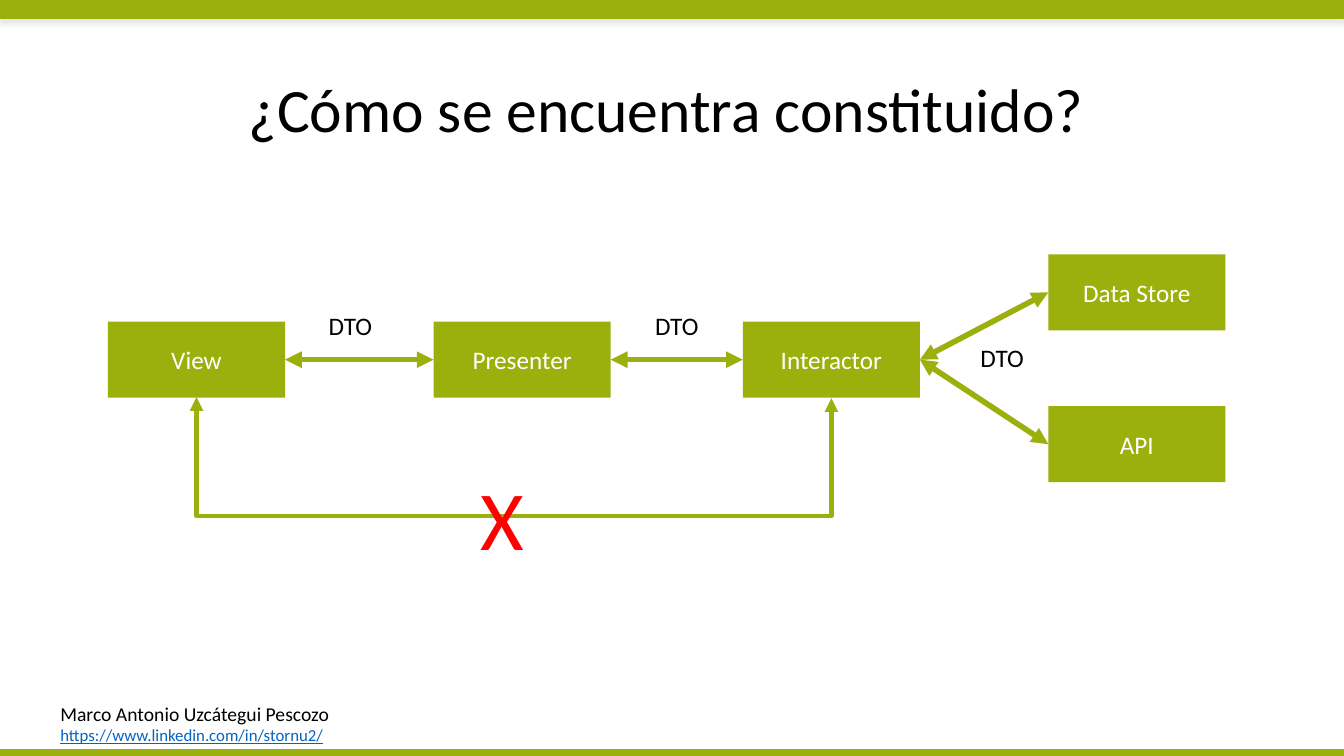
import dataclasses

import pptx
import pptx.dml.color
import pptx.enum.shapes
import pptx.enum.text
import pptx.oxml
import pptx.oxml.ns
import pptx.util


@dataclasses.dataclass(frozen=True)
class Theme:
    """Colours, font and type sizes of the slide."""
    green: str = "9BAF0D"
    black: str = "000000"
    white: str = "FFFFFF"
    red: str = "FF0000"
    link: str = "0563C1"
    font: str = "Calibri"
    title: int = 44
    body: int = 18
    author: int = 14
    address: int = 12
    cross: int = 60


class DiagramSlide:
    """Draws themed elements placed in percent of the slide's size."""

    def __init__(self, presentation, theme):
        """Add a blank slide to the presentation."""
        self.presentation = presentation
        self.theme = theme
        self.slide = presentation.slides.add_slide(presentation.slide_layouts[6])

    def across(self, share):
        """Turn a percentage of the width into a length."""
        return round(self.presentation.slide_width * share / 100)

    def down(self, share):
        """Turn a percentage of the height into a length."""
        return round(self.presentation.slide_height * share / 100)

    def place(self, left, top, width, height):
        """Turn a box in percent into lengths."""
        return self.across(left), self.down(top), self.across(width), self.down(height)

    def style(self, paragraph, size, color, underline=None):
        """Format the runs of a paragraph."""
        for run in paragraph.runs:
            run.font.name = self.theme.font
            run.font.size = pptx.util.Pt(size)
            run.font.underline = underline
            run.font.color.rgb = pptx.dml.color.RGBColor.from_string(color)

    def rectangle(self, *box):
        """Draw a plain green rectangle."""
        shape = self.slide.shapes.add_shape(
            pptx.enum.shapes.MSO_SHAPE.RECTANGLE, *self.place(*box))
        shape.shadow.inherit = False
        shape.fill.solid()
        shape.fill.fore_color.rgb = pptx.dml.color.RGBColor.from_string(self.theme.green)
        shape.line.fill.background()
        return shape

    def bar(self, top, height, shadow=False):
        """Draw a full-width bar with an outline."""
        shape = self.rectangle(0, top, 100, height)
        shape.line.color.rgb = pptx.dml.color.RGBColor.from_string(self.theme.green)
        shape.line.width = pptx.util.Pt(1)
        if shadow:
            effects = shape.element.spPr.find(pptx.oxml.ns.qn("a:effectLst"))
            effects.append(pptx.oxml.parse_xml(
                f'<a:outerShdw {pptx.oxml.ns.nsdecls("a")} blurRad="{pptx.util.Pt(4)}" '
                f'dist="{pptx.util.Pt(3)}" dir="5400000" algn="t" rotWithShape="0">'
                f'<a:srgbClr val="{self.theme.black}"><a:alpha val="10000"/></a:srgbClr>'
                '</a:outerShdw>'))

    def node(self, text, left, top):
        """Draw a labelled component."""
        shape = self.rectangle(left, top, 13.18, 10.05)
        frame = shape.text_frame
        frame.text = text
        frame.vertical_anchor = pptx.enum.text.MSO_ANCHOR.MIDDLE
        frame.paragraphs[0].alignment = pptx.enum.text.PP_ALIGN.CENTER
        self.style(frame.paragraphs[0], self.theme.body, self.theme.white)
        return shape

    def text(self, box, *lines):
        """Write an unwrapped box of (text, size, colour, underline) lines."""
        frame = self.slide.shapes.add_textbox(*self.place(*box)).text_frame
        frame.word_wrap = False
        frame.auto_size = pptx.enum.text.MSO_AUTO_SIZE.SHAPE_TO_FIT_TEXT
        frame.text = "\n".join(line[0] for line in lines)
        for paragraph, line in zip(frame.paragraphs, lines):
            self.style(paragraph, *line[1:])

    def title(self, text):
        """Write the centred slide title."""
        frame = self.slide.shapes.add_textbox(*self.place(0.98, 5.2, 97.22, 19.33)).text_frame
        frame.word_wrap = True
        frame.vertical_anchor = pptx.enum.text.MSO_ANCHOR.MIDDLE
        frame.text = text
        paragraph = frame.paragraphs[0]
        paragraph.alignment = pptx.enum.text.PP_ALIGN.CENTER
        paragraph.line_spacing = 0.9
        self.style(paragraph, self.theme.title, self.theme.black)

    def connector(self, kind, ends, width):
        """Draw a green connector with an arrowhead at both ends."""
        connector = self.slide.shapes.add_connector(kind, *ends)
        connector.line.color.rgb = pptx.dml.color.RGBColor.from_string(self.theme.green)
        connector.line.width = pptx.util.Pt(width)
        line = connector.line._get_or_add_ln()
        for tag in ("headEnd", "tailEnd"):
            line.append(pptx.oxml.parse_xml(
                f'<a:{tag} {pptx.oxml.ns.nsdecls("a")} type="triangle"/>'))
        connector.element.spPr.append(pptx.oxml.parse_xml(
            f'<a:effectLst {pptx.oxml.ns.nsdecls("a")}/>'))
        return connector

    def link(self, source, target):
        """Join the right side of one node to the left side of another."""
        connector = self.connector(
            pptx.enum.shapes.MSO_CONNECTOR.STRAIGHT, (0, 0, 0, 0), 4)
        connector.begin_connect(source, 3)
        connector.end_connect(target, 1)

    def detour(self, source, target, drop):
        """Join the bottoms of two nodes by a path that runs below them."""
        start = source.left + source.width // 2
        end = target.left + target.width // 2
        center, middle = (start + end) // 2, source.top + source.height
        half_span, half_step = (end - start) // 2, pptx.util.Inches(0.005)
        connector = self.connector(
            pptx.enum.shapes.MSO_CONNECTOR.ELBOW,
            (center + half_step, middle - half_span, center - half_step, middle + half_span),
            3.25)
        properties = connector.element.spPr
        properties.find(pptx.oxml.ns.qn("a:xfrm")).set("rot", str(270 * 60000))
        adjustment = round(self.down(drop) / (2 * half_step) * 100000)
        guides = properties.find(pptx.oxml.ns.qn("a:prstGeom")).get_or_add_avLst()
        guides.append(pptx.oxml.parse_xml(
            f'<a:gd {pptx.oxml.ns.nsdecls("a")} name="adj1" fmla="val {adjustment}"/>'))


def main():
    """Build and save the architecture slide."""
    presentation = pptx.Presentation()
    presentation.slide_width = pptx.util.Inches(13.33)
    presentation.slide_height = pptx.util.Inches(7.5)
    theme = Theme()
    diagram = DiagramSlide(presentation, theme)

    diagram.title("¿Cómo se encuentra constituido?")
    diagram.bar(0, 2.4, shadow=True)
    diagram.text(
        (3.75, 92.13, 21.68, 6.53),
        ("Marco Antonio Uzcátegui Pescozo", theme.author, theme.black),
        ("https://www.linkedin.com/in/stornu2/", theme.address, theme.link, True))
    diagram.bar(99.2, 0.8)

    main_row = 42.55
    view = diagram.node("View", 8.03, main_row)
    presenter = diagram.node("Presenter", 32.26, main_row)
    interactor = diagram.node("Interactor", 55.27, main_row)
    data_store = diagram.node("Data Store", 78, 33.65)
    api = diagram.node("API", 78, 53.73)

    for source, target in ((view, presenter), (presenter, interactor),
                           (interactor, data_store), (interactor, api)):
        diagram.link(source, target)
    diagram.detour(view, interactor, 15.95)

    for left, top in ((23.71, 40.4), (48, 40.4), (72.2, 44.6)):
        diagram.text((left, top, 4.8, 5.33), ("DTO", theme.body, theme.black))
    diagram.text((35.03, 61.07, 4.8, 14.8), ("X", theme.cross, theme.red))

    presentation.save("out.pptx")


if __name__ == "__main__":
    main()
